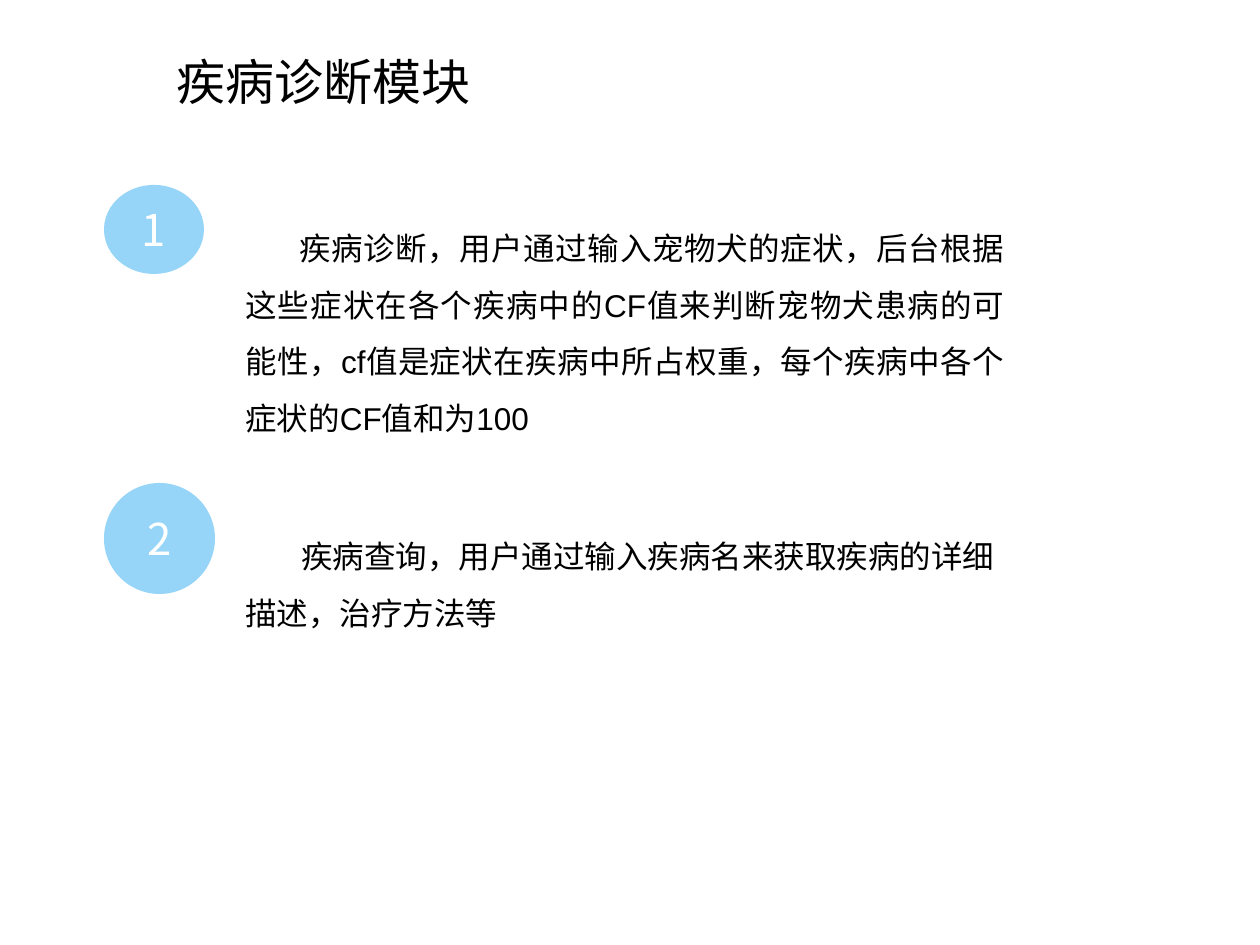
from lxml import etree
from pptx import Presentation
from pptx.dml.color import RGBColor
from pptx.enum.shapes import MSO_SHAPE
from pptx.enum.text import MSO_ANCHOR, PP_ALIGN
from pptx.oxml.ns import qn
from pptx.util import Inches, Pt

PX_PER_INCH = 126
BLACK = RGBColor(0x00, 0x00, 0x00)
WHITE = RGBColor(0xFF, 0xFF, 0xFF)
SKY = RGBColor(0x96, 0xD5, 0xF7)
CJK = "Noto Sans CJK SC"

ITEMS = [
    dict(
        number="1", box=(104, 185, 913, 259), badge=(100, 89), text_top=19,
        indent=54, align=PP_ALIGN.JUSTIFY,
        text="疾病诊断，用户通过输入宠物犬的症状，后台根据这些症状在各个疾病中的CF值来判断"
             "宠物犬患病的可能性，cf值是症状在疾病中所占权重，每个疾病中各个症状的CF值和为100",
    ),
    dict(
        number="2", box=(104, 483, 913, 155), badge=(111, 111), text_top=29,
        indent=56, align=PP_ALIGN.LEFT,
        text="疾病查询，用户通过输入疾病名来获取疾病的详细描述，治疗方法等",
    ),
]


def px(n):
    return Inches(n / PX_PER_INCH)


def write(sp, text, size, color=BLACK, font="Arial", east_font=CJK,
          align=PP_ALIGN.LEFT, anchor=MSO_ANCHOR.TOP, spacing=None, indent=0):
    tf = sp.text_frame
    tf.word_wrap = True
    tf.vertical_anchor = anchor
    p = tf.paragraphs[0]
    p.alignment = align
    if spacing:
        p.line_spacing = spacing
    if indent:
        p_pr = p._p.get_or_add_pPr()
        p_pr.set("marL", "0")
        p_pr.set("indent", str(px(indent)))
    r = p.add_run()
    r.text = text
    r.font.size = Pt(size)
    r.font.name = font
    r.font.color.rgb = color
    etree.SubElement(r._r.get_or_add_rPr(), qn("a:ea")).set("typeface", east_font)


def add_title(s, x, y, w, h):
    sp = s.shapes.add_textbox(px(x), px(y), px(w), px(h))
    write(sp, "疾病诊断模块", 28, font=CJK)


def add_item(s, box, number, badge, text, text_top, indent, align):
    """Place a numbered badge at the box's top left and its paragraph beside it."""
    x, y, w, h = box
    sp = s.shapes.add_shape(MSO_SHAPE.OVAL, px(x), px(y), px(badge[0]), px(badge[1]))
    sp.shadow.inherit = False
    sp.fill.solid()
    sp.fill.fore_color.rgb = SKY
    sp.line.fill.background()
    write(sp, number, 25, color=WHITE, font="Noto Sans CJK JP",
          east_font="Noto Sans CJK JP", align=PP_ALIGN.CENTER,
          anchor=MSO_ANCHOR.MIDDLE)

    text_left = 129
    sp = s.shapes.add_textbox(px(x + text_left), px(y + text_top),
                              px(w - text_left), px(h - text_top))
    write(sp, text, 18, align=align, spacing=1.5, indent=indent)


def main():
    prs = Presentation()
    prs.slide_width, prs.slide_height = Inches(10), Inches(7.5)
    s = prs.slides.add_slide(prs.slide_layouts[6])
    add_title(s, 164, 45, 348, 72)
    for item in ITEMS:
        add_item(s, **item)
    prs.save("out.pptx")


if __name__ == "__main__":
    main()
